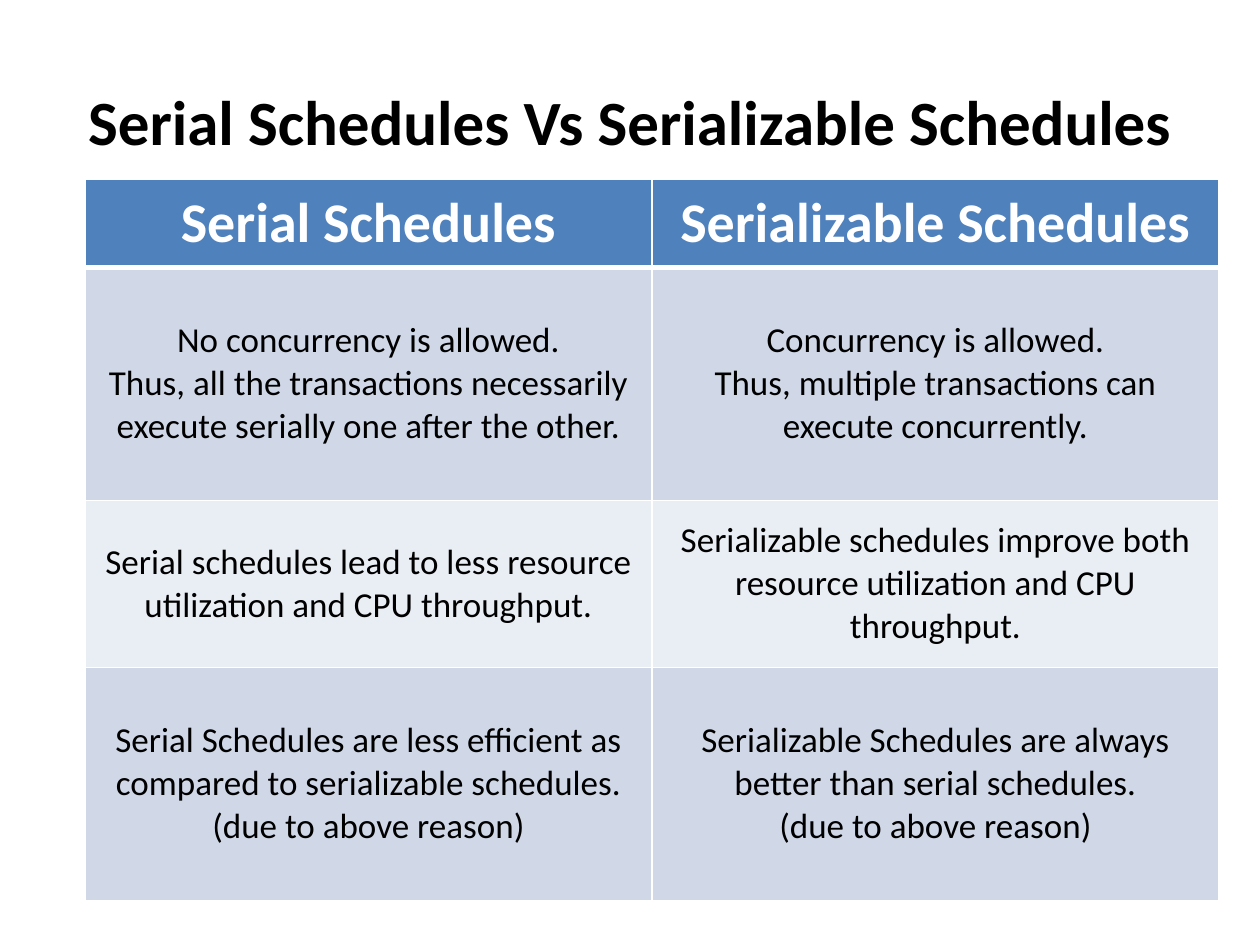
from dataclasses import dataclass

from lxml import etree
from pptx import Presentation
from pptx.dml.color import RGBColor
from pptx.enum.text import MSO_ANCHOR, PP_ALIGN
from pptx.oxml.ns import qn
from pptx.util import Pt

CENTER = PP_ALIGN.CENTER
MIDDLE = MSO_ANCHOR.MIDDLE
EMU_PER_PX = 914400 / 126
TITLE_ONLY = 5


@dataclass(frozen=True)
class Theme:
    font: str = "Calibri"
    text: str = "000000"
    header_text: str = "FFFFFF"
    header_fill: str = "4F81BD"
    bands: tuple = ("D0D8E8", "E9EDF4")
    border: str = "FFFFFF"
    title_size: int = 36
    header_size: int = 32
    body_size: int = 20
    thin: int = 1
    thick: int = 3


THEME = Theme()

TITLE = "Serial Schedules Vs Serializable Schedules"
COLUMN_WIDTHS = (567, 567)
ROW_HEIGHTS = (88, 233, 167, 233)
# Each cell is a tuple of paragraphs.
ROWS = (
    (("Serial Schedules",), ("Serializable Schedules",)),
    (
        ("No concurrency is allowed.",
         "Thus, all the transactions necessarily execute serially one after the other."),
        ("Concurrency is allowed.",
         "Thus, multiple transactions can execute concurrently."),
    ),
    (
        ("Serial schedules lead to less resource utilization and CPU throughput.",),
        ("Serializable schedules improve both resource utilization and CPU throughput.",),
    ),
    (
        ("Serial Schedules are less efficient as compared to serializable schedules.",
         "(due to above reason)"),
        ("Serializable Schedules are always better than serial schedules.",
         "(due to above reason)"),
    ),
)


def px(value):
    return round(value * EMU_PER_PX)


def write_paragraphs(text_frame, lines, size, color, bold):
    for index, line in enumerate(lines):
        paragraph = text_frame.add_paragraph() if index else text_frame.paragraphs[0]
        paragraph.alignment = CENTER
        run = paragraph.add_run()
        run.text = line
        run.font.name = THEME.font
        run.font.size = Pt(size)
        run.font.bold = bold
        run.font.color.rgb = RGBColor.from_string(color)


def set_borders(cell, top, bottom):
    """Draw the cell's four sides; call before filling, as lines precede the fill."""
    properties = cell._tc.get_or_add_tcPr()
    widths = {"a:lnL": THEME.thin, "a:lnR": THEME.thin, "a:lnT": top, "a:lnB": bottom}
    for tag, width in widths.items():
        line = etree.SubElement(properties, qn(tag), w=str(Pt(width)))
        fill = etree.SubElement(line, qn("a:solidFill"))
        etree.SubElement(fill, qn("a:srgbClr"), val=THEME.border)


def format_cell(cell, lines, row_index):
    is_header = row_index == 0
    top = THEME.thick if row_index == 1 else THEME.thin
    bottom = THEME.thick if is_header else THEME.thin
    set_borders(cell, top, bottom)
    cell.fill.solid()
    fill = THEME.header_fill if is_header else THEME.bands[(row_index - 1) % 2]
    cell.fill.fore_color.rgb = RGBColor.from_string(fill)
    cell.vertical_anchor = MIDDLE
    cell.margin_left = cell.margin_right = px(13)
    cell.margin_top = cell.margin_bottom = px(10)
    size = THEME.header_size if is_header else THEME.body_size
    color = THEME.header_text if is_header else THEME.text
    write_paragraphs(cell.text_frame, lines, size, color, is_header)


def add_title(slide):
    title = slide.shapes.title
    title.left, title.top, title.width, title.height = map(px, (63, 38, 1134, 157))
    text_frame = title.text_frame
    text_frame.word_wrap = True
    text_frame.vertical_anchor = MIDDLE
    text_frame.margin_top, text_frame.margin_bottom = px(13), px(6)
    write_paragraphs(text_frame, (TITLE,), THEME.title_size, THEME.text, True)


def add_comparison_table(slide):
    frame = slide.shapes.add_table(
        len(ROW_HEIGHTS), len(COLUMN_WIDTHS), px(85), px(179),
        px(sum(COLUMN_WIDTHS)), px(sum(ROW_HEIGHTS)))
    table = frame.table
    for column, width in zip(table.columns, COLUMN_WIDTHS):
        column.width = px(width)
    for row_index, (row, height) in enumerate(zip(table.rows, ROW_HEIGHTS)):
        row.height = px(height)
        for cell, lines in zip(row.cells, ROWS[row_index]):
            format_cell(cell, lines, row_index)


def main():
    presentation = Presentation()
    presentation.slide_width, presentation.slide_height = px(1260), px(945)
    slide = presentation.slides.add_slide(presentation.slide_layouts[TITLE_ONLY])
    add_title(slide)
    add_comparison_table(slide)
    presentation.save("out.pptx")


if __name__ == "__main__":
    main()
